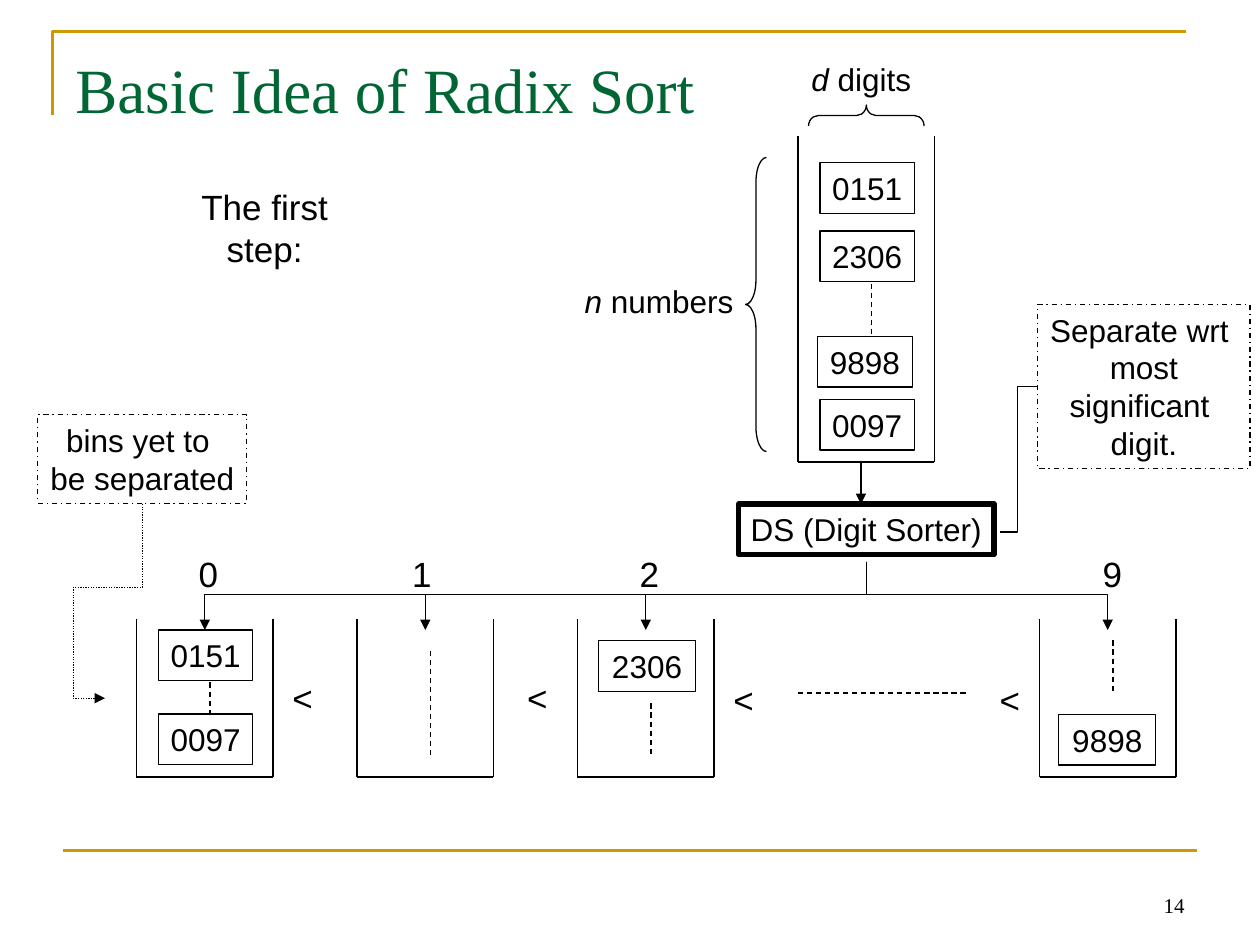
from lxml import etree
from pptx import Presentation
from pptx.dml.color import RGBColor
from pptx.enum.dml import MSO_LINE
from pptx.enum.shapes import MSO_CONNECTOR, MSO_SHAPE
from pptx.enum.text import MSO_ANCHOR, PP_ALIGN
from pptx.oxml.ns import qn
from pptx.util import Pt

COLORS = {"ink": "000000", "title": "006633", "frame": "CC9900"}
SANS, SERIF = "Arial", "Times New Roman"
STRAIGHT, ELBOW = MSO_CONNECTOR.STRAIGHT, MSO_CONNECTOR.ELBOW
RECTANGLE, LEFT_BRACE = MSO_SHAPE.RECTANGLE, MSO_SHAPE.LEFT_BRACE
DASH, DASH_DOT, DOTTED = MSO_LINE.DASH, MSO_LINE.DASH_DOT, MSO_LINE.ROUND_DOT
LEFT, CENTER, RIGHT = PP_ALIGN.LEFT, PP_ALIGN.CENTER, PP_ALIGN.RIGHT
TOP, BOTTOM = MSO_ANCHOR.TOP, MSO_ANCHOR.BOTTOM


def write_text(shape, text, size=18, font=SANS, color="ink", align=CENTER,
               anchor=TOP, wrap=False, italic_first=0, inset_top=3.6):
    """Fill a shape; the first italic_first letters are set in italics."""
    frame = shape.text_frame
    frame.word_wrap = wrap
    frame.vertical_anchor = anchor
    frame.margin_top = Pt(inset_top)
    for index, line in enumerate(text.split("\n")):
        paragraph = frame.paragraphs[0] if index == 0 else frame.add_paragraph()
        paragraph.alignment = align
        for part, italic in ((line[:italic_first], True), (line[italic_first:], False)):
            if part:
                run = paragraph.add_run()
                run.text = part
                run.font.size = Pt(size)
                run.font.name = font
                run.font.italic = italic
                run.font.color.rgb = RGBColor.from_string(COLORS[color])


class Diagram:
    """Line style and the slide being drawn on."""

    def __init__(self, slide, line_weight=0.75):
        self.slide = slide
        self.line_weight = line_weight

    def style_line(self, line, color="ink", weight=None, dash=None):
        line.color.rgb = RGBColor.from_string(COLORS[color])
        line.width = Pt(weight or self.line_weight)
        if dash:
            line.dash_style = dash

    def text(self, left, top, width, height, text, **text_format):
        shape = self.slide.shapes.add_textbox(Pt(left), Pt(top), Pt(width), Pt(height))
        write_text(shape, text, **text_format)

    def shape(self, kind, left, top, width, height, **line_format):
        shape = self.slide.shapes.add_shape(kind, Pt(left), Pt(top), Pt(width), Pt(height))
        shape.shadow.inherit = False
        shape.fill.background()
        self.style_line(shape.line, **line_format)
        return shape

    def box(self, left, top, width, height, text, **line_format):
        write_text(self.shape(RECTANGLE, left, top, width, height, **line_format), text)

    def brace(self, left, top, width, height, curve, rotation=0):
        shape = self.shape(LEFT_BRACE, left, top, width, height)
        shape.adjustments[0] = curve
        shape.rotation = rotation

    def connector(self, start, end, kind=STRAIGHT, arrow=False, **line_format):
        points = [Pt(value) for value in (*start, *end)]
        connector = self.slide.shapes.add_connector(kind, *points)
        self.style_line(connector.line, **line_format)
        properties = connector._element.spPr
        if arrow:
            etree.SubElement(properties.find(qn("a:ln")), qn("a:tailEnd"), type="triangle")
        etree.SubElement(properties, qn("a:effectLst"))
        return properties

    def elbow(self, start, end, bends, vertical=False, **line_format):
        """Bent connector; a vertical one leaves downwards, by a quarter turn."""
        if vertical:
            middle_x, middle_y = (start[0] + end[0]) / 2, (start[1] + end[1]) / 2
            half_x, half_y = (end[0] - start[0]) / 2, (end[1] - start[1]) / 2
            start = (middle_x - half_y, middle_y + half_x)
            end = (middle_x + half_y, middle_y - half_x)
        properties = self.connector(start, end, ELBOW, **line_format)
        if vertical:
            properties.find(qn("a:xfrm")).set("rot", "5400000")
        geometry = properties.find(qn("a:prstGeom"))
        geometry.set("prst", f"bentConnector{len(bends) + 2}")
        guides = geometry.find(qn("a:avLst"))
        if guides is None:
            guides = etree.SubElement(geometry, qn("a:avLst"))
        for number, bend in enumerate(bends, 1):
            etree.SubElement(guides, qn("a:gd"), name=f"adj{number}",
                             fmla=f"val {round(bend * 100000)}")

    def bin(self, left, top, bottom, width=78):
        right = left + width
        corners = [(left, top), (left, bottom), (right, bottom), (right, top)]
        for start, end in zip(corners, corners[1:]):
            self.connector(start, end)

    def corner(self, points, **line_format):
        builder = self.slide.shapes.build_freeform(*points[0], scale=Pt(1))
        builder.add_line_segments(points[1:], close=False)
        shape = builder.convert_to_shape()
        shape.shadow.inherit = False
        shape.fill.background()
        self.style_line(shape.line, **line_format)


def main():
    presentation = Presentation()
    presentation.slide_width, presentation.slide_height = Pt(720), Pt(540)
    slide = presentation.slides.add_slide(presentation.slide_layouts[6])
    diagram = Diagram(slide)

    # Frame, title and page number
    diagram.corner([(30, 66), (30, 18), (678, 18)], color="frame", weight=1.5)
    diagram.connector((36, 486), (684, 486), color="frame", weight=1.5)
    diagram.text(516, 492, 168, 36, "14", size=12, font=SERIF, align=RIGHT,
                 anchor=BOTTOM, wrap=True)
    diagram.text(36, 21.6, 648, 90, "Basic Idea of Radix Sort", size=36, font=SERIF,
                 color="title", align=LEFT, wrap=True, inset_top=7)
    diagram.text(83.5, 102.2, 135.4, 31.7, "The first step:", size=20)

    # Input column with its braces
    diagram.bin(456, 78, 264)
    diagram.text(326.9, 157.7, 99.4, 28.8, "n numbers", italic_first=1)
    diagram.brace(426, 90, 12, 168, curve=1.17)
    diagram.text(456.5, 31, 71.3, 28.8, "d digits", italic_first=1)
    diagram.brace(489, 33, 12, 66, curve=0.46, rotation=90)

    # Digit sorter and the notes
    diagram.box(422, 288, 146, 29, "DS (Digit Sorter)", weight=3)
    diagram.connector((492, 264), (492, 288), arrow=True)
    diagram.box(593, 174, 121.3, 93.6, "Separate wrt \nmost\nsignificant \ndigit.",
                dash=DASH_DOT)
    diagram.elbow((571.5, 304), (593, 221), [0.46])
    diagram.box(21.6, 237, 119.4, 50.6, "bins yet to \nbe separated", dash=DASH_DOT)
    diagram.elbow((81.4, 288), (60, 399), [0.43, 1.85], vertical=True, arrow=True,
                  dash=DOTTED)

    # Output bins, each fed from the sorter
    for digit, left, label_center in (("0", 78, 119), ("1", 204, 241),
                                      ("2", 330, 371), ("9", 594, 635.5)):
        diagram.bin(left, 354, 444)
        diagram.elbow((495, 321), (left + 39, 360), [0.48], vertical=True, arrow=True)
        diagram.text(label_center - 12.5, 312, 25, 31.7, digit, size=20)
    for left, top in ((160, 383), (294, 383), (412, 384), (564, 384)):
        diagram.text(left, top, 26, 31.7, "<", size=20)

    # Numbers in the column and in the bins
    for number, left, top, width in (
            ("0151", 468.5, 93, 54), ("2306", 468.5, 132, 54),
            ("9898", 467.25, 192.25, 54), ("0097", 468.5, 228.25, 54),
            ("0151", 90.5, 360, 54), ("0097", 90.5, 408, 54),
            ("2306", 342, 366, 55.5), ("9898", 605, 408.25, 55.5)):
        diagram.box(left, top, width, 29, number)

    # Dashed lines for what is left out
    for x, top, bottom in ((498, 162, 192), (120, 390, 408), (246, 372, 432),
                           (372, 402, 432), (636, 366, 396)):
        diagram.connector((x, top), (x, bottom), dash=DASH)
    diagram.connector((456, 396), (552, 396), dash=DASH)

    presentation.save("out.pptx")


if __name__ == "__main__":
    main()
